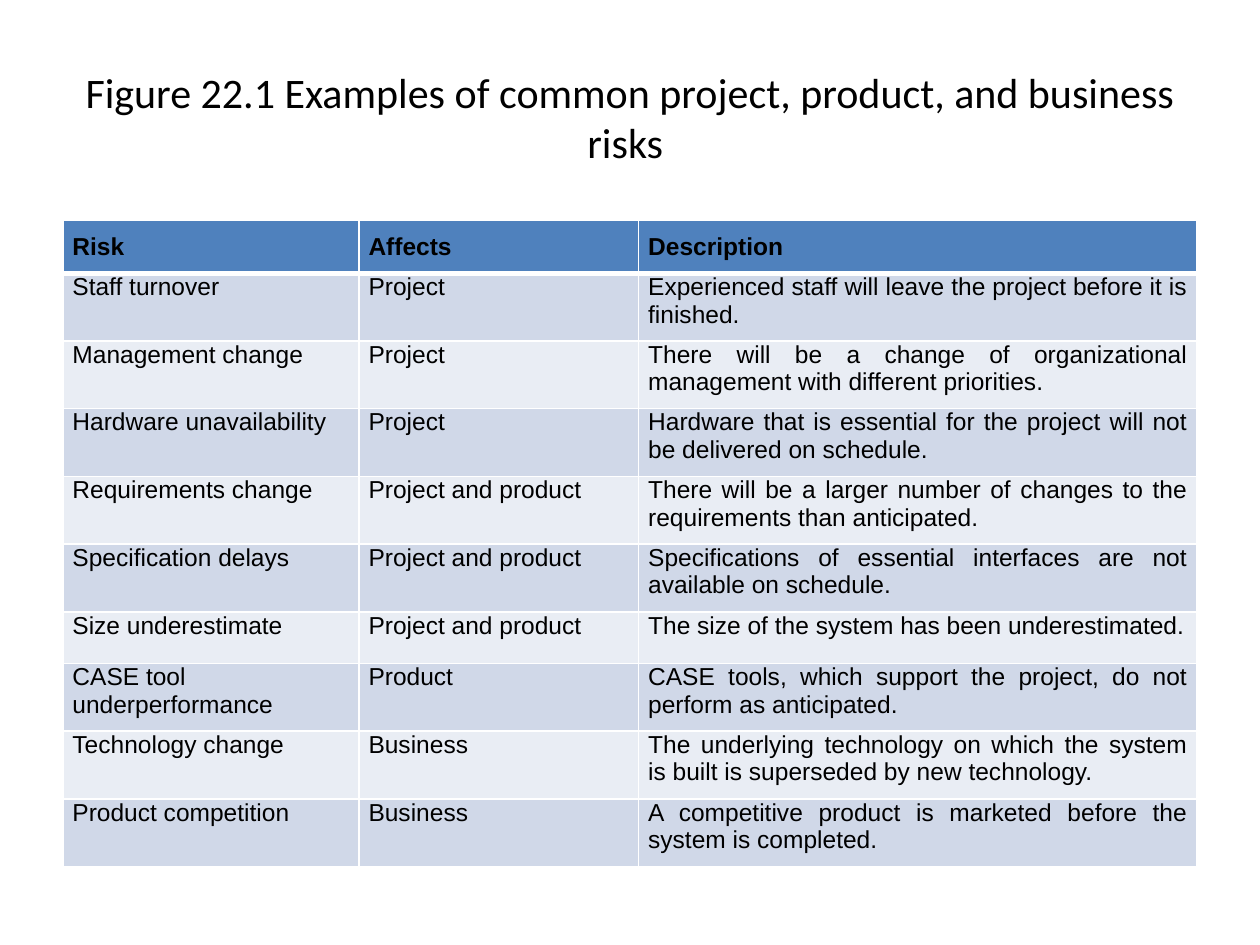
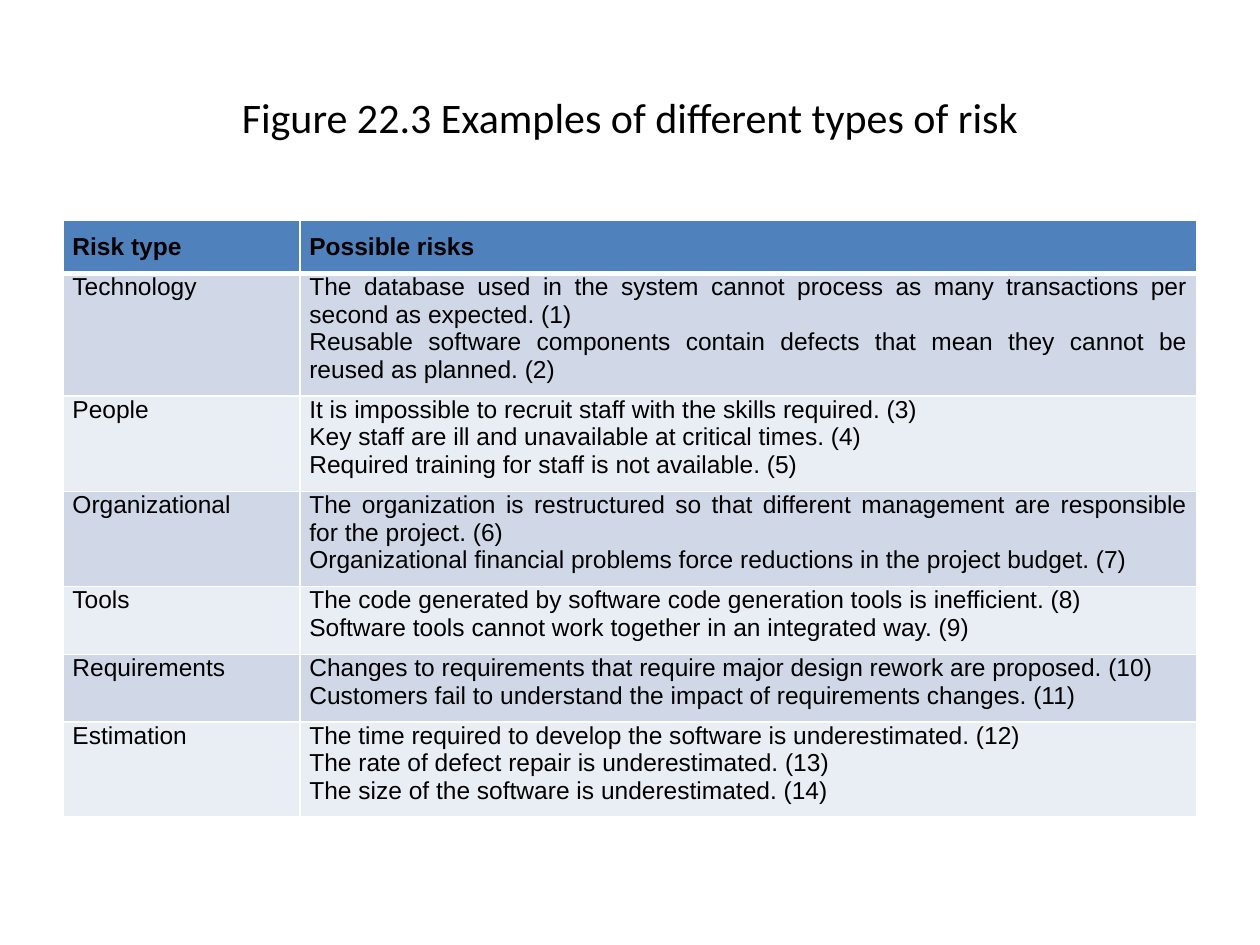
import dataclasses
import typing

import lxml.etree
import pptx
import pptx.dml.color
import pptx.enum.text
import pptx.oxml.ns
import pptx.slide
import pptx.table
import pptx.util

Pt = pptx.util.Pt
RGBColor = pptx.dml.color.RGBColor
Align = pptx.enum.text.PP_ALIGN
Anchor = pptx.enum.text.MSO_ANCHOR

# Shared look
BLACK = RGBColor(0x00, 0x00, 0x00)
WHITE = RGBColor(0xFF, 0xFF, 0xFF)
HEADER_BLUE = RGBColor(0x4F, 0x81, 0xBD)
BANDS = (RGBColor(0xD0, 0xD8, 0xE8), RGBColor(0xE9, 0xED, 0xF4))

LEFT, WIDTH = Pt(36), Pt(648)
TABLE_TOP, ROW_HEIGHT = Pt(126), Pt(29.5)
RULE, HEADER_RULE = Pt(1), Pt(3)

TITLE_PLACE = {"left": LEFT, "top": Pt(21.6), "width": WIDTH, "height": Pt(90)}
TITLE_FONT = {"name": "Calibri", "size": Pt(24), "bold": False}
HEADER_FONT = {"name": "Arial", "size": Pt(14), "bold": True}
BODY_FONT = HEADER_FONT | {"bold": False}
HEADER_CELL = {"margin_left": Pt(5.4), "margin_right": Pt(5.4),
               "margin_top": Pt(7.2), "margin_bottom": Pt(7.2),
               "vertical_anchor": Anchor.TOP}
BODY_CELL = HEADER_CELL | {"margin_top": Pt(0)}


@dataclasses.dataclass(frozen=True)
class Column:
    heading: str
    width: float
    align: Align = Align.JUSTIFY


@dataclasses.dataclass(frozen=True)
class Figure:
    title: str
    columns: tuple[Column, ...]
    rows: tuple[tuple[str, ...], ...]  # a line break starts a new paragraph


COMMON_RISKS = Figure(
    "Figure 22.1 Examples of common project, product, and business risks ",
    (Column("Risk", 169.2, Align.LEFT), Column("Affects", 159.8, Align.LEFT),
     Column("Description", 319)),
    (
        ("Staff turnover", "Project",
         "Experienced staff will leave the project before it is finished."),
        ("Management change", "Project",
         "There will be a change of organizational management with different priorities."),
        ("Hardware unavailability", "Project",
         "Hardware that is essential for the project will not be delivered on schedule."),
        ("Requirements change", "Project and product",
         "There will be a larger number of changes to the requirements than anticipated."),
        ("Specification delays", "Project and product",
         "Specifications of essential interfaces are not available on schedule."),
        ("Size underestimate", "Project and product",
         "The size of the system has been underestimated."),
        ("CASE tool underperformance", "Product",
         "CASE tools, which support the project, do not perform as anticipated."),
        ("Technology change", "Business",
         "The underlying technology on which the system is built is superseded "
         "by new technology."),
        ("Product competition", "Business",
         "A competitive product is marketed before the system is completed."),
    ),
)

RISK_TYPES = Figure(
    "Figure 22.3 Examples of different types of risk",
    (Column("Risk type", 135.4), Column("Possible risks", 512.6)),
    (
        ("Technology",
         "The database used in the system cannot process as many transactions per second "
         "as expected. (1)\n"
         "Reusable software components contain defects that mean they cannot be reused "
         "as planned. (2)"),
        ("People",
         "It is impossible to recruit staff with the skills required. (3)\n"
         "Key staff are ill and unavailable at critical times. (4)\n"
         "Required training for staff is not available. (5)"),
        ("Organizational",
         "The organization is restructured so that different management are responsible "
         "for the project. (6)\n"
         "Organizational financial problems force reductions in the project budget. (7)"),
        ("Tools",
         "The code generated by software code generation tools is inefficient. (8)\n"
         "Software tools cannot work together in an integrated way. (9)"),
        ("Requirements",
         "Changes to requirements that require major design rework are proposed. (10)\n"
         "Customers fail to understand the impact of requirements changes. (11)"),
        ("Estimation",
         "The time required to develop the software is underestimated. (12)\n"
         "The rate of defect repair is underestimated. (13)\n"
         "The size of the software is underestimated. (14)"),
    ),
)


def apply(target: typing.Any, values: dict[str, typing.Any]) -> None:
    for attribute, value in values.items():
        setattr(target, attribute, value)


def write(frame: typing.Any, text: str, font: dict[str, typing.Any], align: Align) -> None:
    frame.text = text
    for paragraph in frame.paragraphs:
        paragraph.alignment = align
        for run in paragraph.runs:
            apply(run.font, font)
            run.font.color.rgb = BLACK


def rule_cell(cell: pptx.table._Cell, top: int, bottom: int) -> None:
    """Draw the white cell borders, which must precede the fill."""
    qn = pptx.oxml.ns.qn
    properties = cell._tc.get_or_add_tcPr()
    sides = {"a:lnL": RULE, "a:lnR": RULE, "a:lnT": top, "a:lnB": bottom}
    for place, (side, width) in enumerate(sides.items()):
        line = lxml.etree.Element(qn(side), w=str(int(width)))
        fill = lxml.etree.SubElement(line, qn("a:solidFill"))
        lxml.etree.SubElement(fill, qn("a:srgbClr"), val=str(WHITE))
        properties.insert(place, line)


def fill_row(table: pptx.table.Table, index: int, texts: typing.Sequence[str],
             columns: tuple[Column, ...]) -> None:
    header = index == 0
    table.rows[index].height = ROW_HEIGHT
    for cell, text, column in zip(table.rows[index].cells, texts, columns):
        apply(cell, HEADER_CELL if header else BODY_CELL)
        write(cell.text_frame, text, HEADER_FONT if header else BODY_FONT,
              Align.JUSTIFY if header else column.align)
        cell.fill.solid()
        cell.fill.fore_color.rgb = HEADER_BLUE if header else BANDS[(index - 1) % 2]
        rule_cell(cell, HEADER_RULE if index == 1 else RULE,
                  HEADER_RULE if header else RULE)


def add_figure(slide: pptx.slide.Slide, figure: Figure) -> None:
    # Title
    title = slide.shapes.title
    apply(title, TITLE_PLACE)
    title.text_frame.vertical_anchor = Anchor.MIDDLE
    write(title.text_frame, figure.title, TITLE_FONT, Align.CENTER)

    # Risk table
    headings = tuple(column.heading for column in figure.columns)
    rows = (headings, *figure.rows)
    table = slide.shapes.add_table(len(rows), len(headings), LEFT, TABLE_TOP,
                                   WIDTH, ROW_HEIGHT * len(rows)).table
    for grid_column, column in zip(table.columns, figure.columns):
        grid_column.width = Pt(column.width)
    for index, texts in enumerate(rows):
        fill_row(table, index, texts, figure.columns)


def main() -> None:
    deck = pptx.Presentation()
    apply(deck, {"slide_width": Pt(720), "slide_height": Pt(540)})
    title_only = deck.slide_layouts.get_by_name("Title Only")
    for figure in (COMMON_RISKS, RISK_TYPES):
        add_figure(deck.slides.add_slide(title_only), figure)
    deck.save("out.pptx")


if __name__ == "__main__":
    main()
